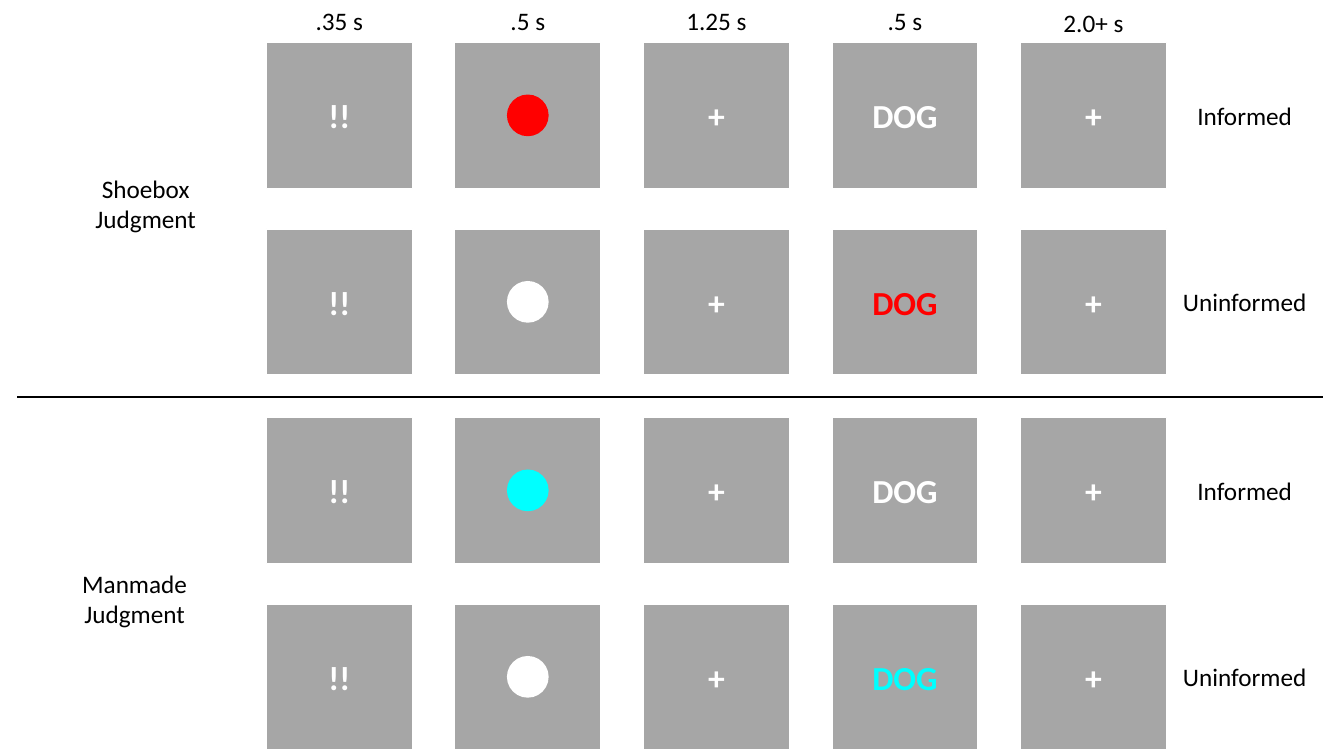
from lxml.etree import SubElement
from pptx import Presentation
from pptx.dml.color import RGBColor
from pptx.enum.shapes import MSO_CONNECTOR as Link, MSO_SHAPE as Kind
from pptx.enum.text import MSO_ANCHOR as Anchor, MSO_AUTO_SIZE as Fit, PP_ALIGN as Align
from pptx.oxml.ns import qn
from pptx.util import Inches, Pt

BLACK = RGBColor(0, 0, 0)
WHITE = RGBColor(255, 255, 255)
GRAY = RGBColor(0xA6, 0xA6, 0xA6)
RED = RGBColor(255, 0, 0)
CYAN = RGBColor(0, 255, 255)

SIDE = 1.45
DOT = 0.4
STEP = 1.87
DROP = 1.85
LEFT = 2.64
HIGH = 0.4
WIDE = 1.55


def write(frame, lines, size, color, bold=False):
    frame.word_wrap = True
    for i, line in enumerate(lines):
        para = frame.paragraphs[0] if i == 0 else frame.add_paragraph()
        para.alignment = Align.CENTER
        run = para.add_run()
        run.text = line
        font = run.font
        font.name = "Calibri"
        font.size = Pt(size)
        font.bold = bold
        font.color.rgb = color


def label(slide, x, y, w, h, *lines):
    box = slide.shapes.add_textbox(Inches(x), Inches(y), Inches(w), Inches(h))
    write(box.text_frame, lines, 18, BLACK)
    box.text_frame.auto_size = Fit.SHAPE_TO_FIT_TEXT


def solid(slide, kind, x, y, size, fill, edge):
    shape = slide.shapes.add_shape(
        kind, Inches(x), Inches(y), Inches(size), Inches(size))
    shape.shadow.inherit = False
    shape.fill.solid()
    shape.fill.fore_color.rgb = fill
    shape.line.color.rgb = edge
    shape.line.width = Pt(1)
    return shape


def trial(slide, x, y, name, cue, word):
    cells = [("!!", WHITE), None, ("+", WHITE), ("DOG", word), ("+", WHITE)]
    for i, cell in enumerate(cells):
        left = x + i * STEP
        panel = solid(slide, Kind.RECTANGLE, left, y, SIDE, GRAY, WHITE)
        if cell:
            text, color = cell
            panel.text_frame.vertical_anchor = Anchor.MIDDLE
            write(panel.text_frame, [text], 24, color, True)
        else:
            gap = (SIDE - DOT) / 2
            solid(slide, Kind.OVAL, left + gap, y + gap, DOT, cue, cue)
    label(slide, x + 4 * STEP + SIDE, y + (SIDE - HIGH) / 2, WIDE, HIGH, name)


def block(slide, x, y, hue):
    trial(slide, x, y, "Informed", hue, WHITE)
    trial(slide, x, y + DROP, "Uninformed", WHITE, hue)


def header(slide, x, y):
    times = [".35 s", ".5 s", "1.25 s", ".5 s", "2.0+ s"]
    wide = 0.81
    for i, time in enumerate(times):
        top = y + 0.02 if i == 4 else y
        label(slide, x + i * STEP + (SIDE - wide) / 2, top, wide, HIGH, time)


def rule(slide, x, y, w):
    line = slide.shapes.add_connector(
        Link.STRAIGHT, Inches(x), Inches(y), Inches(x + w), Inches(y))
    line.line.color.rgb = BLACK
    line.line.width = Pt(1.5)
    SubElement(line._element.spPr, qn("a:effectLst"))


deck = Presentation()
deck.slide_width = Inches(13.33)
deck.slide_height = Inches(7.5)
slide = deck.slides.add_slide(deck.slide_layouts[6])

header(slide, LEFT, 0)
block(slide, LEFT, 0.42, RED)
block(slide, LEFT, 4.14, CYAN)
label(slide, 0.67, 1.67, WIDE, 0.71, "Shoebox Judgment")
label(slide, 0.56, 5.59, WIDE, 0.71, "Manmade", "Judgment")
rule(slide, 0.17, 3.94, 12.95)

deck.save("out.pptx")
